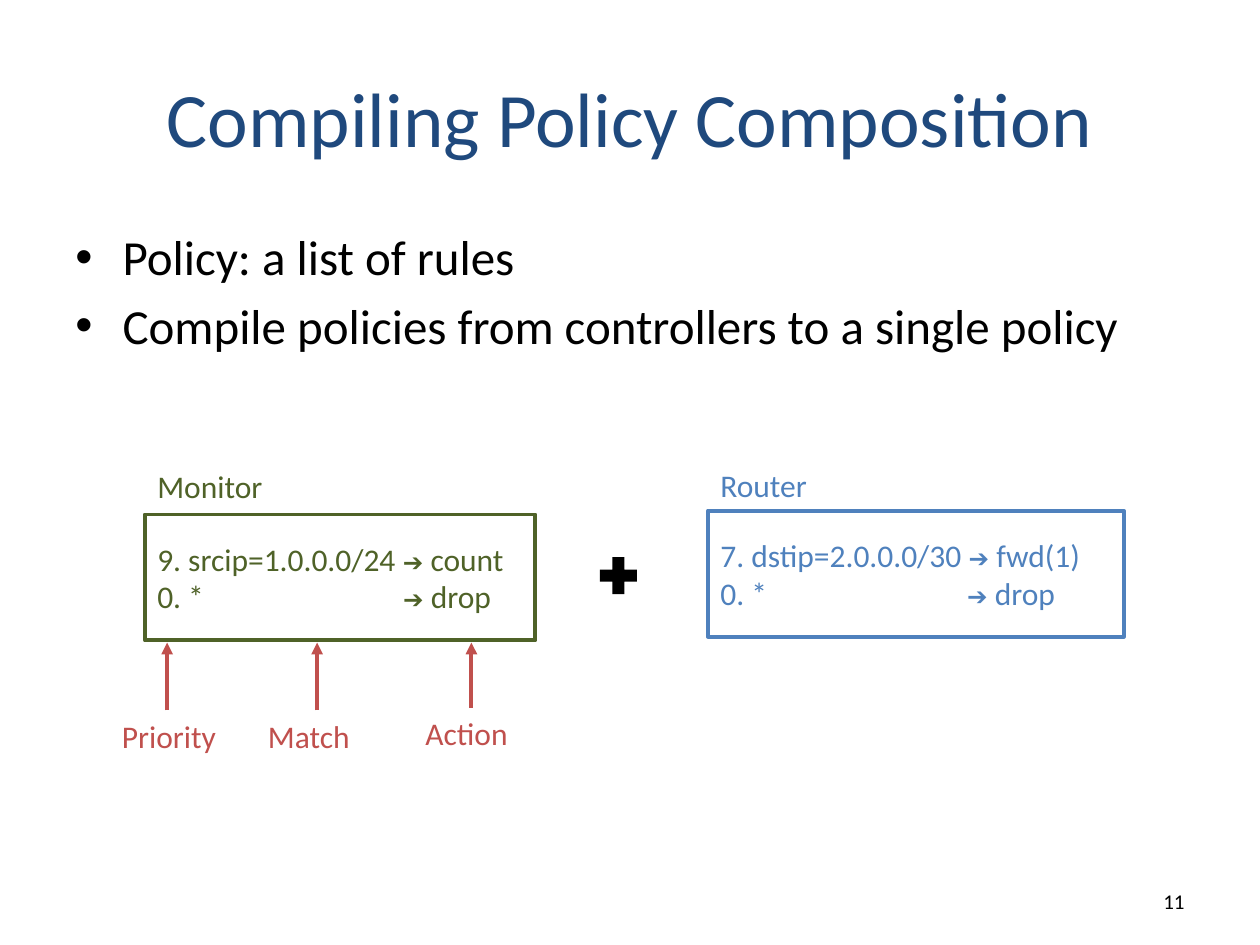
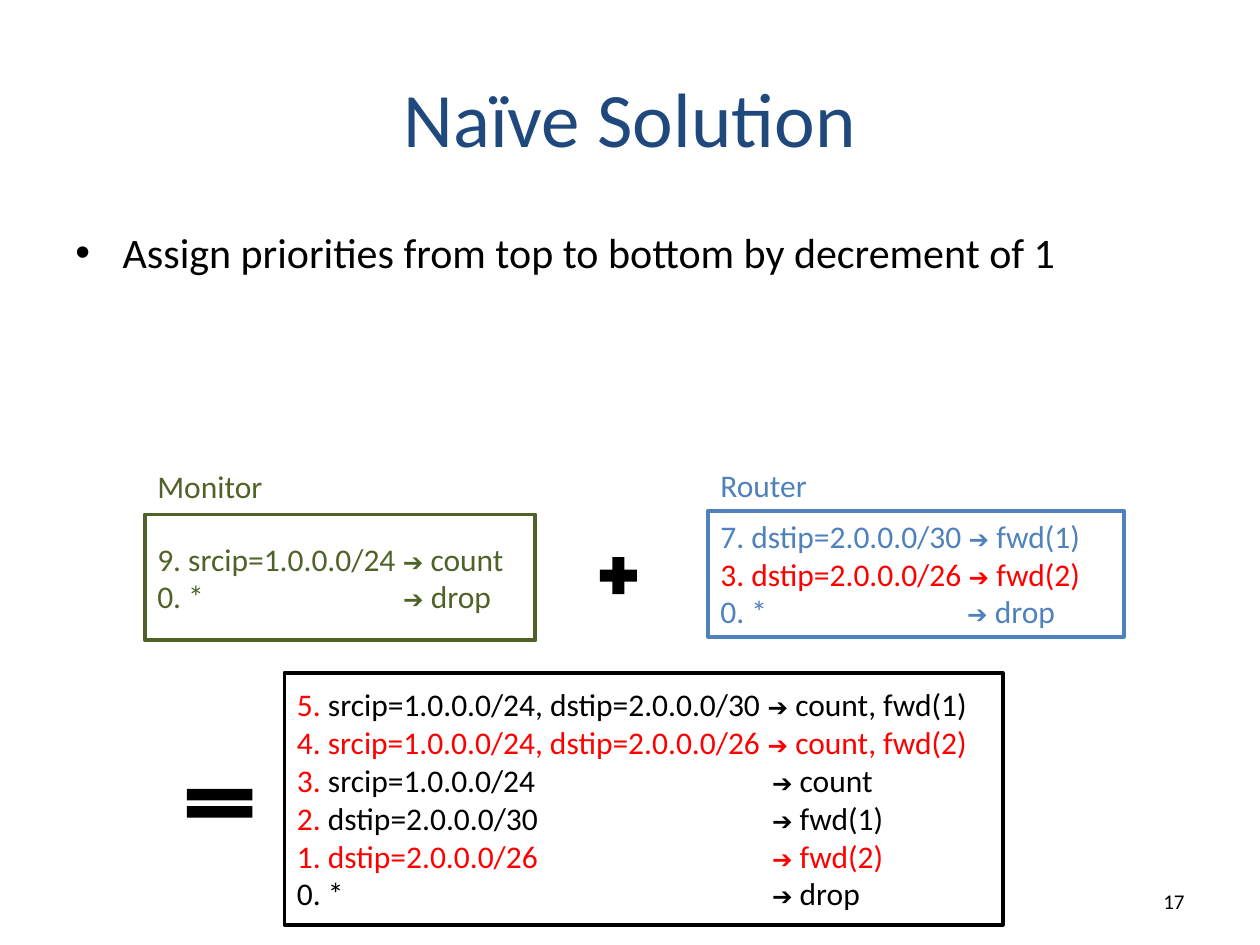
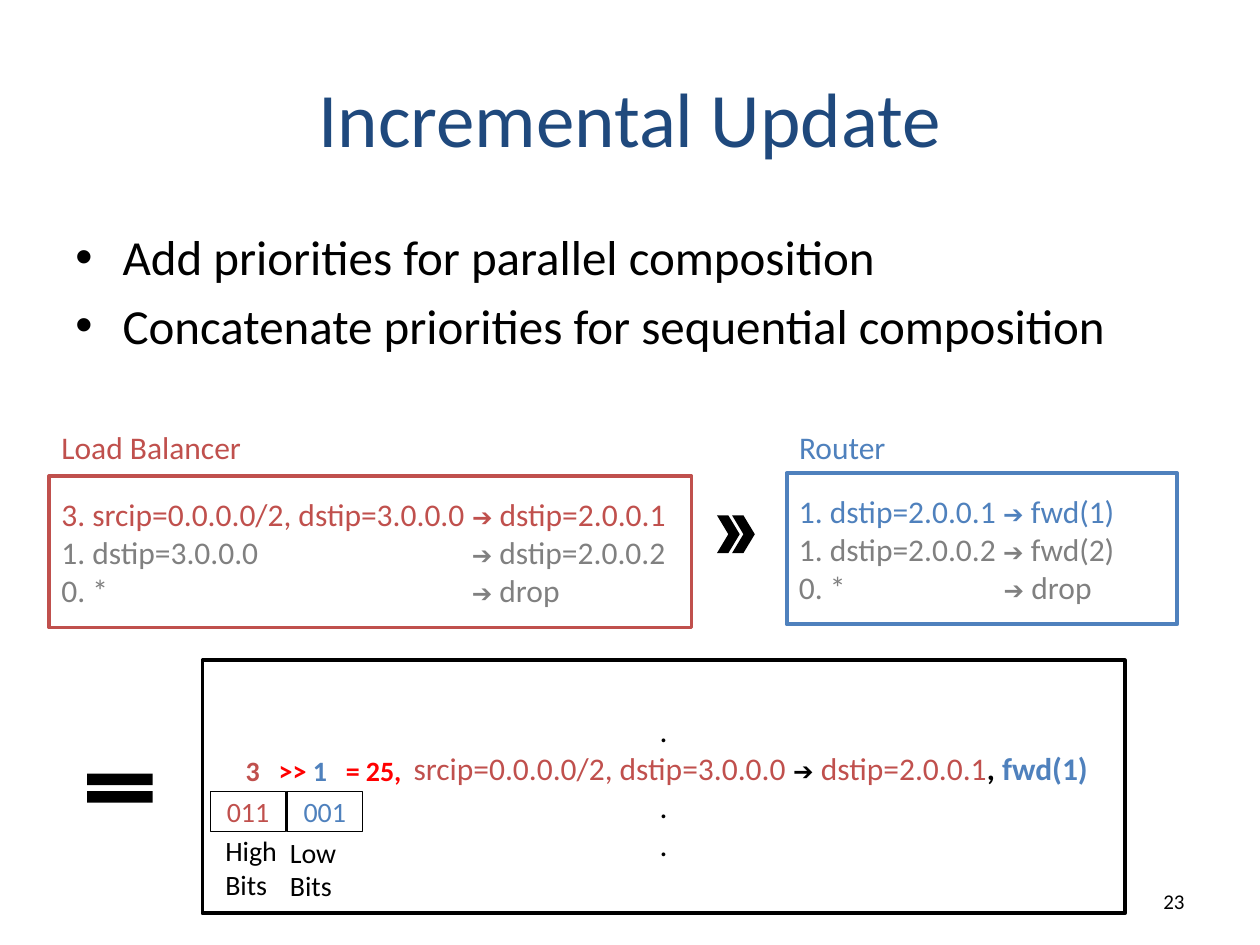
from lxml.etree import SubElement
from pptx import Presentation
from pptx.dml.color import RGBColor
from pptx.enum.shapes import MSO_CONNECTOR, MSO_SHAPE
from pptx.enum.text import MSO_ANCHOR, PP_ALIGN
from pptx.oxml.ns import qn
from pptx.util import Pt

BLACK, WHITE, RED, GRAY = "000000", "FFFFFF", "FF0000", "808080"
NAVY, GREEN, BLUE, BRICK = "1F497D", "4F6228", "4F81BD", "C0504D"
ARROW = "➔"


def rgb(hex_string):
    return RGBColor.from_string(hex_string)


def set_values(target, values):
    for name, value in values.items():
        setattr(target, name, value)


def add_tab_stops(paragraph, positions):
    tab_list = SubElement(paragraph._p.get_or_add_pPr(), qn("a:tabLst"))
    for position in positions:
        SubElement(tab_list, qn("a:tab"), pos=str(Pt(position)), algn="l")


def set_indent(paragraph, left, first_line=0):
    properties = paragraph._p.get_or_add_pPr()
    properties.set("marL", str(Pt(left)))
    properties.set("indent", str(Pt(first_line)))


class Deck:
    """Holds the shared style and the slide being filled."""

    font = "Calibri"
    arrow_format = {"name": "Arial", "size": Pt(14)}
    outline = 2.25

    def __init__(self):
        self.presentation = Presentation()
        set_values(self.presentation, {"slide_width": Pt(720), "slide_height": Pt(540)})
        self.slide = None

    def start_slide(self, title, number, bullets, bullet_size=28):
        self.slide = self.presentation.slides.add_slide(self.presentation.slide_layouts[6])
        self.text((36, 21.6, 648, 90), [title], NAVY, 44, PP_ALIGN.CENTER, MSO_ANCHOR.MIDDLE)
        self.bullets(bullets, bullet_size)
        self.text((516, 500.5, 168, 28.75), [number], BLACK, 12, PP_ALIGN.RIGHT, MSO_ANCHOR.MIDDLE)

    def set_rows(self, frame, rows, color, size=18, align=PP_ALIGN.LEFT,
                 anchor=MSO_ANCHOR.TOP, tabs=()):
        """Each row is a string or a list of (text, color, bold) segments."""
        set_values(frame, {"word_wrap": True, "vertical_anchor": anchor})
        for index, row in enumerate(rows):
            paragraph = frame.add_paragraph() if index else frame.paragraphs[0]
            paragraph.alignment = align
            segments = [(row, color, False)] if isinstance(row, str) else row
            for text, segment_color, bold in segments:
                for part in filter(None, text.partition(ARROW)):
                    run = paragraph.add_run()
                    run.text = part
                    set_values(run.font, {"name": self.font, "size": Pt(size), "bold": bold})
                    if part == ARROW:
                        set_values(run.font, self.arrow_format)
                    run.font.color.rgb = rgb(segment_color)
            if tabs:
                add_tab_stops(paragraph, tabs)
        return frame

    def text(self, place, rows, color, size=18, *layout, **options):
        shape = self.slide.shapes.add_textbox(*map(Pt, place))
        return self.set_rows(shape.text_frame, rows, color, size, *layout, **options)

    def bullets(self, items, size):
        frame = self.text((36, 126, 648, 356.4), items, BLACK, size)
        for paragraph in frame.paragraphs:
            paragraph.space_before = Pt(size * 0.2)
            set_indent(paragraph, 27, -27)
            properties = paragraph._p.get_or_add_pPr()
            SubElement(properties, qn("a:buFont"), typeface="Arial")
            SubElement(properties, qn("a:buChar"), char="•")

    def shape(self, kind, place, fill=None, line=None, width=outline):
        shape = self.slide.shapes.add_shape(kind, *map(Pt, place))
        shape.shadow.inherit = False
        for part, color in ((shape.fill, fill), (shape.line.fill, line)):
            if color:
                part.solid()
                part.fore_color.rgb = rgb(color)
            else:
                part.background()
        if line:
            shape.line.width = Pt(width)
        return shape

    def symbol(self, kind, place):
        self.shape(kind, place, BLACK)

    def box(self, place, rows, color, line, fill=WHITE, width=outline, **options):
        shape = self.shape(MSO_SHAPE.RECTANGLE, place, fill, line, width)
        return self.set_rows(shape.text_frame, rows, color, anchor=MSO_ANCHOR.MIDDLE, **options)

    def policy(self, name, label_top, place, rows, color, tab):
        """A named rule box whose actions line up at the tab."""
        self.box(place, rows, color, color, tabs=[tab])
        self.text((place[0], label_top, 165, 29), [name], color)

    def up_arrow(self, x, bottom, top, color):
        connector = self.slide.shapes.add_connector(
            MSO_CONNECTOR.STRAIGHT, *map(Pt, (x, bottom, x, top)))
        connector.line.color.rgb = rgb(color)
        connector.line.width = Pt(self.outline)
        properties = connector._element.spPr
        SubElement(properties.find(qn("a:ln")), qn("a:tailEnd"), type="triangle")
        SubElement(properties, qn("a:effectLst"))

    def monitor_plus_router(self, router_rows):
        self.symbol(MSO_SHAPE.MATH_PLUS, (339, 314.6, 28.8, 28.8))
        self.policy("Monitor", 263.5, (82.8, 294, 223.2, 72),
                    ["9. srcip=1.0.0.0/24 ➔ count", "0. *\t➔ drop"], GREEN, 140.5)
        self.policy("Router", 262.5, (404.6, 291.8, 237.6, 72), router_rows, BLUE, 141)


def add_composition_slide(deck):
    deck.start_slide("Compiling Policy Composition", "11", [
        "Policy: a list of rules",
        "Compile policies from controllers to a single policy"])
    deck.monitor_plus_router(["7. dstip=2.0.0.0/30 ➔ fwd(1)", "0. *\t➔ drop"])
    for name, left, top, arrow_x in (("Priority", 62.6, 406, 95.5),
                                     ("Match", 146, 406, 181.2),
                                     ("Action", 236, 404.5, 269.4)):
        deck.text((left, top, 70, 29), [name], BRICK)
        deck.up_arrow(arrow_x, top, 367.2, BRICK)


def add_naive_slide(deck):
    deck.start_slide("Naïve Solution", "17",
                     ["Assign priorities from top to bottom by decrement of 1"], 24)
    deck.monitor_plus_router(["7. dstip=2.0.0.0/30 ➔ fwd(1)",
                              [("3. dstip=2.0.0.0/26 ➔ fwd(2)", RED, False)],
                              "0. *\t➔ drop"])
    deck.symbol(MSO_SHAPE.MATH_EQUAL, (100, 445, 51, 28))
    rules = (("5. ", "srcip=1.0.0.0/24, dstip=2.0.0.0/30 ➔ count, fwd(1)", RED, BLACK),
             ("4. ", "srcip=1.0.0.0/24, dstip=2.0.0.0/26 ➔ count, fwd(2)", RED, RED),
             ("3. ", "srcip=1.0.0.0/24\t➔ count", RED, BLACK),
             ("2. ", "dstip=2.0.0.0/30\t➔ fwd(1)", RED, BLACK),
             ("1. ", "dstip=2.0.0.0/26\t➔ fwd(2)", RED, RED),
             ("0. ", "*\t➔ drop", BLACK, BLACK))
    rows = [[(priority, priority_color, False), (rule, rule_color, False)]
            for priority, rule, priority_color, rule_color in rules]
    deck.box((162.6, 384.5, 410.4, 144), rows, BLACK, BLACK, tabs=[271.5])


def add_update_slide(deck):
    deck.start_slide("Incremental Update", "23", [
        "Add priorities for parallel composition",
        "Concatenate priorities for sequential composition"])
    deck.policy("Load Balancer", 241.2, (28, 272.2, 367.2, 86.4), [
        "3. srcip=0.0.0.0/2, dstip=3.0.0.0 ➔ dstip=2.0.0.1",
        [("1. dstip=3.0.0.0\t➔ dstip=2.0.0.2", GRAY, False)],
        [("0. *\t➔ drop", GRAY, False)]], BRICK, 234.5)
    deck.policy("Router", 241.2, (449.5, 270.4, 223.2, 86.4), [
        "1. dstip=2.0.0.1 ➔ fwd(1)",
        [("1. dstip=2.0.0.2 ➔ fwd(2)", GRAY, False)],
        [("0. *\t➔ drop", GRAY, False)]], BLUE, 117)
    for left in (409.7, 418.3):
        deck.symbol(MSO_SHAPE.CHEVRON, (left, 294.5, 13, 21.6))

    merged_rule = [("srcip=0.0.0.0/2, dstip=3.0.0.0 ", BRICK, False),
                   ("➔ ", BLACK, False), ("dstip=2.0.0.1", BRICK, False),
                   (", ", BLACK, True), ("fwd(1)", BLUE, True)]
    result = deck.box((115.7, 377.3, 527, 144.7), [".", merged_rule, ".", "."],
                      BLACK, BLACK, align=PP_ALIGN.CENTER)
    result.paragraphs[1].alignment = PP_ALIGN.LEFT
    set_indent(result.paragraphs[1], 113.5)
    deck.symbol(MSO_SHAPE.MATH_EQUAL, (43, 436.4, 51, 28))

    deck.text((133.2, 427, 109.5, 26.6), [[
        ("3\t", BRICK, True), (">> ", RED, True), ("1\t", BLUE, True), ("= 25,", RED, True)]],
        BLACK, 16, tabs=[19, 57.3])
    for bits, name, color, box_left, label_left, label_top in (
            ("011", "High", BRICK, 120.2, 121.7, 473),
            ("001", "Low", BLUE, 164, 158.6, 473.8)):
        deck.box((box_left, 452.2, 43.2, 23), [bits], color, BLACK, fill=None, width=0.75,
                 size=16, align=PP_ALIGN.CENTER)
        deck.text((label_left, label_top, 69, 46), [name, "Bits"], BLACK, 16)


def main():
    deck = Deck()
    add_composition_slide(deck)
    add_naive_slide(deck)
    add_update_slide(deck)
    deck.presentation.save("out.pptx")


if __name__ == "__main__":
    main()
